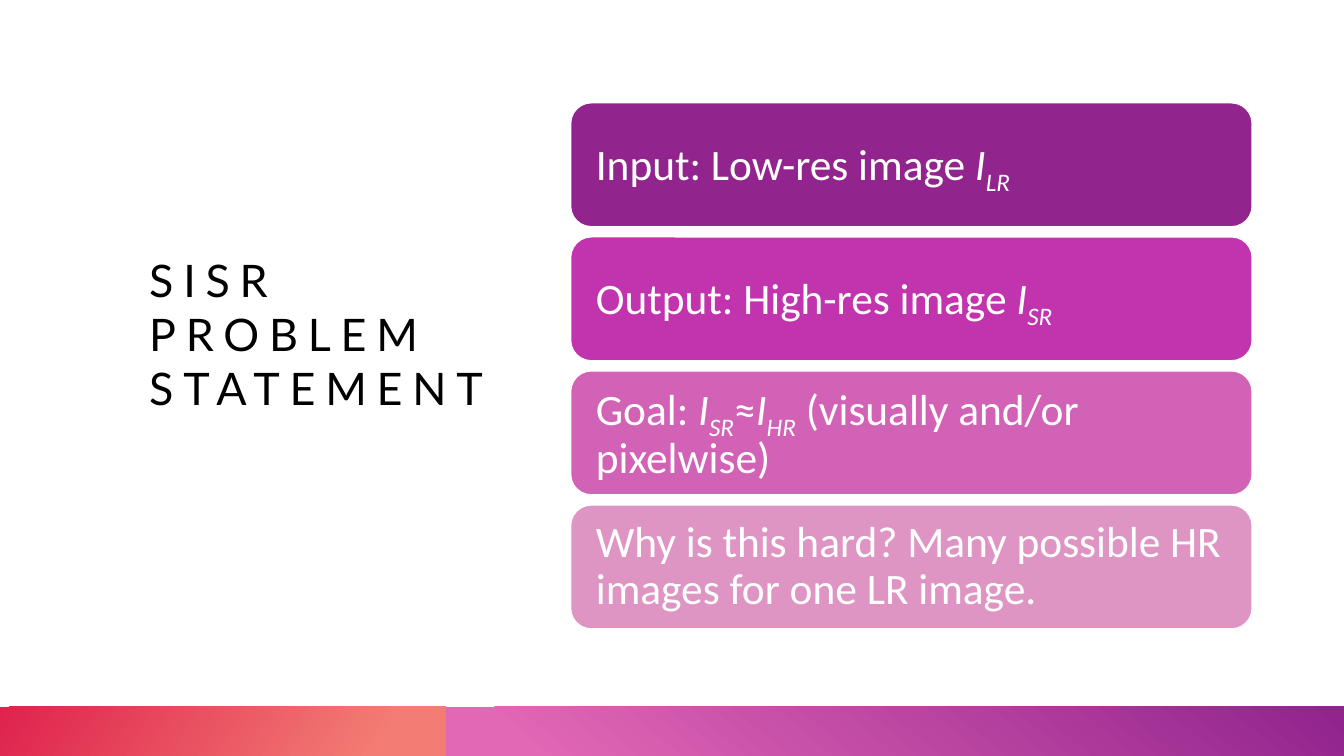
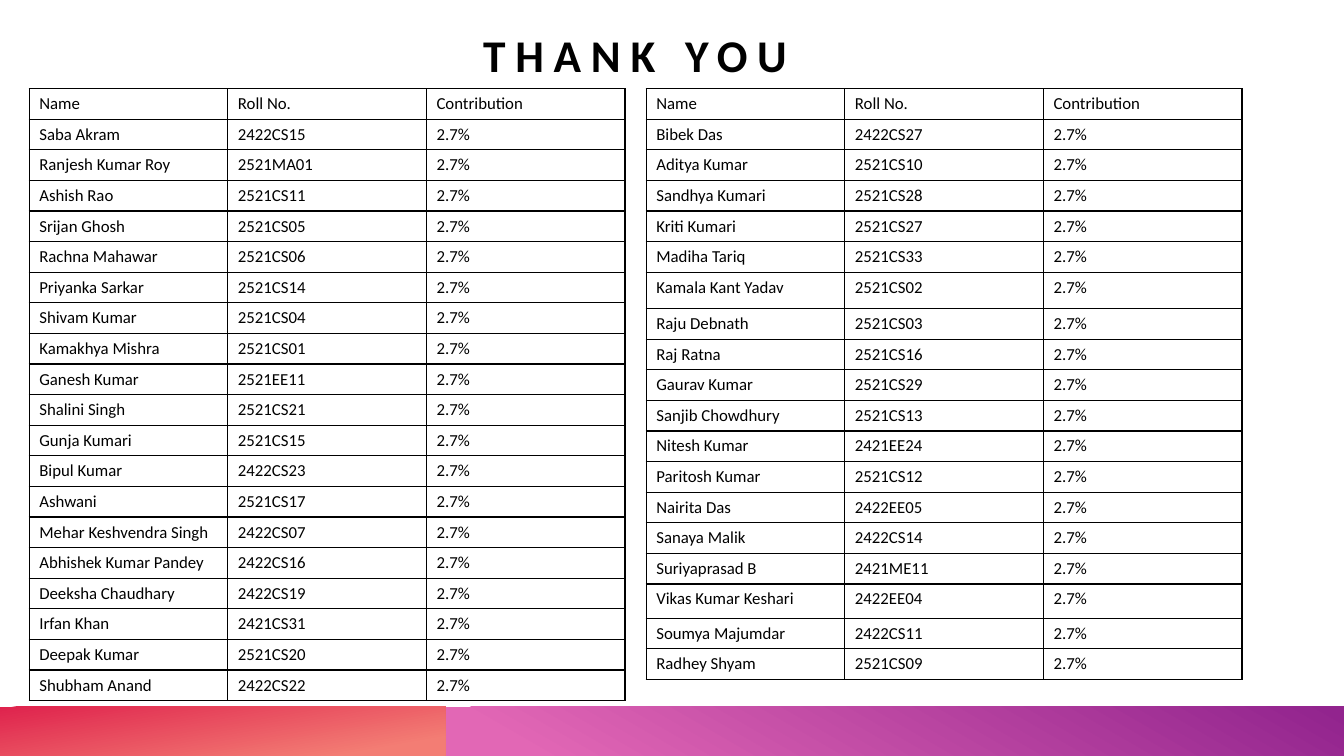
from dataclasses import dataclass

from lxml import etree
from pptx import Presentation
from pptx import util as u
from pptx.dml.color import RGBColor
from pptx.enum import shapes, text
from pptx.oxml.ns import qn

PX = 9144


@dataclass(frozen=True)
class Theme:
    body_font: str = "Calibri"
    title_font: str = "Lato"
    black: str = "000000"
    white: str = "FFFFFF"
    red: str = "DF234D"
    salmon: str = "F37D74"
    pink: str = "E267B5"
    purple: str = "92248E"
    title_size: float = 32
    thanks_size: float = 32.4
    card_size: float = 31
    table_size: float = 12
    title_spacing: int = 700
    border: float = 1


THEME = Theme()
SLIDE_SIZE = (1333, 750)
BAND_TOP = 701
BANDS = [
    (0, 442, (THEME.red, 0), (THEME.salmon, 0.86)),
    (442, 891, (THEME.pink, 0.09), (THEME.purple, 0.99)),
]

PROBLEM_TITLE = "SISR PROBLEM STATEMENT"
PROBLEM_TITLE_BOX = (148, 112, 364, 438)
PROBLEM_BAND_ANGLES = (330, 50)
CARD_BOX = (566, 102, 676, 123)
CARD_STEP = 133
CARD_INSET = 19
CARDS = [
    (THEME.purple, [("Input: Low-res image ", ""), ("I", "italic"), ("LR", "subscript")]),
    ("C134AD", [("Output: High-res image ", ""), ("I", "italic"), ("SR", "subscript")]),
    ("D262B6", [("Goal: ", ""), ("I", "italic"), ("SR", "subscript"), ("≈", ""),
                ("I", "italic"), ("HR", "subscript"), (" (visually and/or pixelwise)", "")]),
    ("DE95C4", [("Why is this hard? Many possible HR images for one LR image.", "")]),
]

THANKS_TITLE = "THANK YOU"
THANKS_TITLE_BOX = (29, 23, 1202, 58)
THANKS_BAND_ANGLES = (280, 60)
HEADER = ("Name", "Roll No.", "Contribution")
CONTRIBUTION = "2.7%"
TABLE_TOP = 88
COLUMN_WIDTH = 197
ROW_HEIGHT = 30
LEFT_MEMBERS = [
    ("Saba Akram", "2422CS15"),
    ("Ranjesh Kumar Roy", "2521MA01"),
    ("Ashish Rao", "2521CS11"),
    ("Srijan Ghosh", "2521CS05"),
    ("Rachna Mahawar", "2521CS06"),
    ("Priyanka Sarkar", "2521CS14"),
    ("Shivam Kumar", "2521CS04"),
    ("Kamakhya Mishra", "2521CS01"),
    ("Ganesh Kumar", "2521EE11"),
    ("Shalini Singh", "2521CS21"),
    ("Gunja Kumari", "2521CS15"),
    ("Bipul Kumar", "2422CS23"),
    ("Ashwani", "2521CS17"),
    ("Mehar Keshvendra Singh", "2422CS07"),
    ("Abhishek Kumar Pandey", "2422CS16"),
    ("Deeksha Chaudhary", "2422CS19"),
    ("Irfan Khan", "2421CS31"),
    ("Deepak Kumar", "2521CS20"),
    ("Shubham Anand", "2422CS22"),
]
RIGHT_MEMBERS = [
    ("Bibek Das", "2422CS27"),
    ("Aditya Kumar", "2521CS10"),
    ("Sandhya Kumari", "2521CS28"),
    ("Kriti Kumari", "2521CS27"),
    ("Madiha Tariq", "2521CS33"),
    ("Kamala Kant Yadav", "2521CS02"),
    ("Raju Debnath", "2521CS03"),
    ("Raj Ratna", "2521CS16"),
    ("Gaurav Kumar", "2521CS29"),
    ("Sanjib Chowdhury", "2521CS13"),
    ("Nitesh Kumar", "2421EE24"),
    ("Paritosh Kumar", "2521CS12"),
    ("Nairita Das", "2422EE05"),
    ("Sanaya Malik", "2422CS14"),
    ("Suriyaprasad B", "2421ME11"),
    ("Vikas Kumar Keshari", "2422EE04"),
    ("Soumya Majumdar", "2422CS11"),
    ("Radhey Shyam", "2521CS09"),
]
MEMBER_TABLES = [
    (29, LEFT_MEMBERS, {}),
    (641, RIGHT_MEMBERS, {6: 36, 16: 34}),
]


def emu(*lengths):
    return [u.Emu(length * PX) for length in lengths]


def write_text(frame, runs, *, size, font=THEME.body_font, color=THEME.black, bold=False,
               align=text.PP_ALIGN.LEFT, line_spacing=1.0, spacing=None, anchor=None, inset=None):
    if anchor is not None:
        frame.word_wrap = True
        frame.auto_size = text.MSO_AUTO_SIZE.NONE
        frame.vertical_anchor = anchor
    if inset is not None:
        frame.margin_left = frame.margin_right = u.Emu(inset * PX)
        frame.margin_top = frame.margin_bottom = u.Emu(inset * PX)
    paragraph = frame.paragraphs[0]
    paragraph.alignment = align
    paragraph.line_spacing = line_spacing
    for content, style in [(runs, "")] if isinstance(runs, str) else runs:
        run = paragraph.add_run()
        run.text = content
        run.font.name = font
        run.font.size = u.Pt(size)
        run.font.bold = bold
        run.font.italic = style in ("italic", "subscript")
        run.font.color.rgb = RGBColor.from_string(color)
        properties = run.font._element
        if style == "subscript":
            properties.set("baseline", "-25000")
        if spacing:
            properties.set("spc", str(spacing))


def add_bands(slide, angles):
    for (left, width, *stops), angle in zip(BANDS, angles):
        band = slide.shapes.add_shape(
            shapes.MSO_SHAPE.RECTANGLE, *emu(left, BAND_TOP, width, SLIDE_SIZE[1] - BAND_TOP))
        band.shadow.inherit = False
        band.line.fill.background()
        band.fill.gradient()
        band.fill.gradient_angle = angle
        for stop, (color, position) in zip(band.fill.gradient_stops, stops):
            stop.color.rgb = RGBColor.from_string(color)
            stop.position = position


def add_slide(presentation, title, box, angles, **title_format):
    slide = presentation.slides.add_slide(presentation.slide_layouts[5])
    placeholder = slide.shapes.title
    placeholder.left, placeholder.top, placeholder.width, placeholder.height = emu(*box)
    write_text(placeholder.text_frame, title, spacing=THEME.title_spacing, inset=0, **title_format)
    add_bands(slide, angles)
    return slide


def add_card(slide, index, color, runs):
    left, top, width, height = CARD_BOX
    card = slide.shapes.add_shape(
        shapes.MSO_SHAPE.ROUNDED_RECTANGLE, *emu(left, top + index * CARD_STEP, width, height))
    card.shadow.inherit = False
    card.fill.solid()
    card.fill.fore_color.rgb = RGBColor.from_string(color)
    card.line.color.rgb = RGBColor.from_string(THEME.white)
    card.line.width = u.Pt(THEME.border)
    write_text(card.text_frame, runs, size=THEME.card_size, color=THEME.white,
               line_spacing=0.9, anchor=text.MSO_ANCHOR.MIDDLE, inset=CARD_INSET)


def style_cell(cell):
    properties = cell._tc.get_or_add_tcPr()
    for side in ("a:lnL", "a:lnR", "a:lnT", "a:lnB"):
        line = etree.SubElement(properties, qn(side), w=str(u.Pt(THEME.border)))
        fill = etree.SubElement(line, qn("a:solidFill"))
        etree.SubElement(fill, qn("a:srgbClr"), val=THEME.black)
    cell.fill.background()


def add_member_table(slide, left, members, tall_rows):
    rows = [HEADER] + [(*member, CONTRIBUTION) for member in members]
    heights = [tall_rows.get(index, ROW_HEIGHT) for index in range(len(rows))]
    table = slide.shapes.add_table(
        len(rows), len(HEADER),
        *emu(left, TABLE_TOP, COLUMN_WIDTH * len(HEADER), sum(heights))).table
    table.first_row = table.horz_banding = False
    for column in table.columns:
        column.width = u.Emu(COLUMN_WIDTH * PX)
    for row, height, values in zip(table.rows, heights, rows):
        row.height = u.Emu(height * PX)
        for cell, value in zip(row.cells, values):
            style_cell(cell)
            write_text(cell.text_frame, value, size=THEME.table_size)


def main():
    presentation = Presentation()
    presentation.slide_width, presentation.slide_height = emu(*SLIDE_SIZE)

    problem = add_slide(presentation, PROBLEM_TITLE, PROBLEM_TITLE_BOX, PROBLEM_BAND_ANGLES,
                        size=THEME.title_size, font=THEME.title_font,
                        anchor=text.MSO_ANCHOR.MIDDLE)
    for index, (color, runs) in enumerate(CARDS):
        add_card(problem, index, color, runs)

    thanks = add_slide(presentation, THANKS_TITLE, THANKS_TITLE_BOX, THANKS_BAND_ANGLES,
                       size=THEME.thanks_size, bold=True, align=text.PP_ALIGN.CENTER,
                       anchor=text.MSO_ANCHOR.BOTTOM)
    for left, members, tall_rows in MEMBER_TABLES:
        add_member_table(thanks, left, members, tall_rows)

    presentation.save("out.pptx")


if __name__ == "__main__":
    main()
